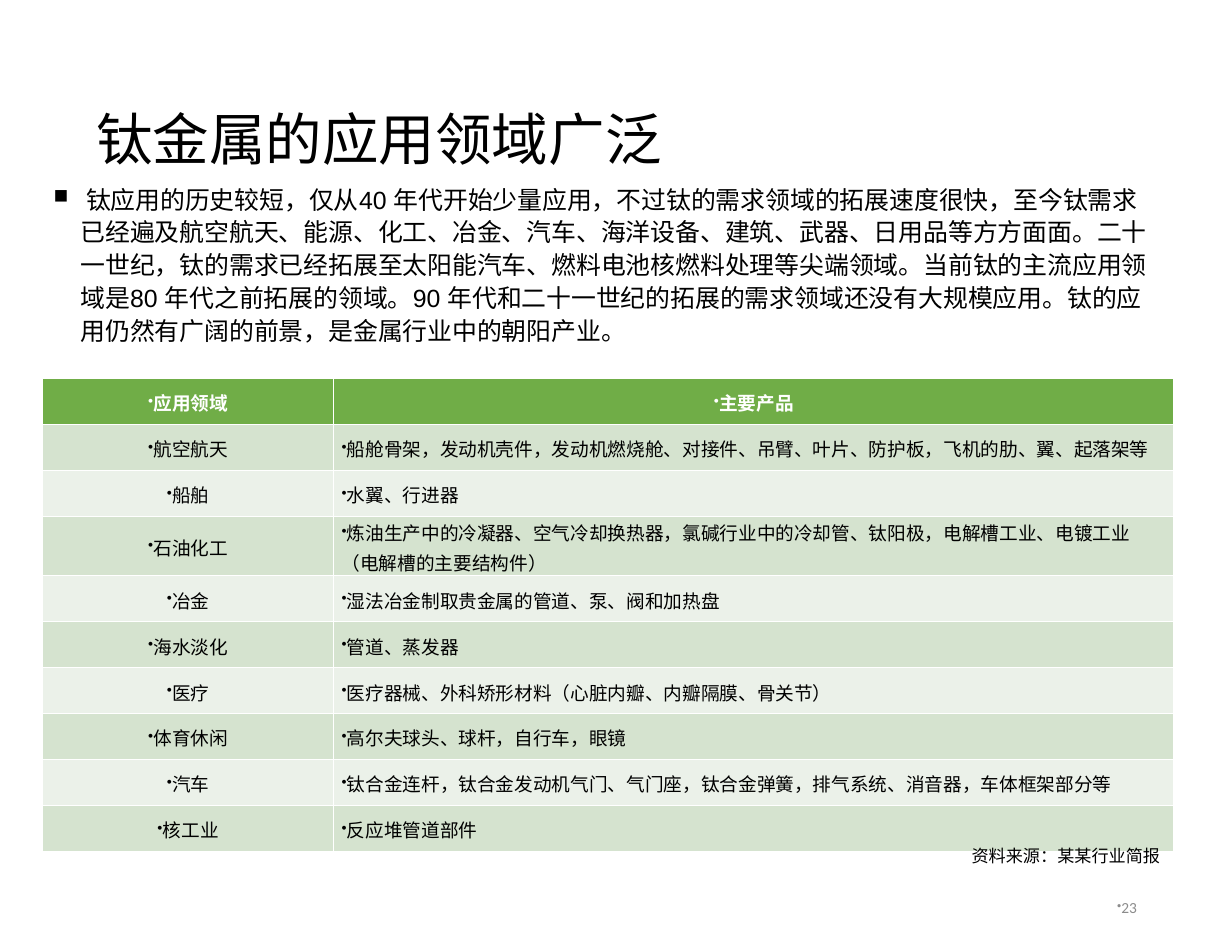
from lxml import etree
from pptx import Presentation
from pptx.dml.color import RGBColor
from pptx.enum.text import MSO_ANCHOR, MSO_AUTO_SIZE, PP_ALIGN
from pptx.oxml.ns import qn
from pptx.util import Inches, Pt

LEFT, CENTER, RIGHT = PP_ALIGN.LEFT, PP_ALIGN.CENTER, PP_ALIGN.RIGHT
MIDDLE = MSO_ANCHOR.MIDDLE
BLACK = RGBColor(0x00, 0x00, 0x00)
WHITE = RGBColor(0xFF, 0xFF, 0xFF)
GRAY = RGBColor(0x8C, 0x8C, 0x8C)
HEADER_GREEN = RGBColor(0x70, 0xAD, 0x47)
BAND_GREENS = (RGBColor(0xD5, 0xE3, 0xCF), RGBColor(0xEB, 0xF1, 0xE9))

TITLE = "钛金属的应用领域广泛"
OVERVIEW = (
    " 钛应用的历史较短，仅从40 年代开始少量应用，不过钛的需求领域的拓展速度很快，"
    "至今钛需求已经遍及航空航天、能源、化工、冶金、汽车、海洋设备、建筑、武器、日用品等方方面面。"
    "二十一世纪，钛的需求已经拓展至太阳能汽车、燃料电池核燃料处理等尖端领域。"
    "当前钛的主流应用领域是80 年代之前拓展的领域。90 年代和二十一世纪的拓展的需求领域还没有大规模应用。"
    "钛的应用仍然有广阔的前景，是金属行业中的朝阳产业。"
)
SOURCE = "资料来源：某某行业简报"
APPLICATIONS = [
    ("应用领域", "主要产品"),
    ("航空航天", "船舱骨架，发动机壳件，发动机燃烧舱、对接件、吊臂、叶片、防护板，飞机的肋、翼、起落架等"),
    ("船舶", "水翼、行进器"),
    ("石油化工", "炼油生产中的冷凝器、空气冷却换热器，氯碱行业中的冷却管、钛阳极，"
             "电解槽工业、电镀工业（电解槽的主要结构件）"),
    ("冶金", "湿法冶金制取贵金属的管道、泵、阀和加热盘"),
    ("海水淡化", "管道、蒸发器"),
    ("医疗", "医疗器械、外科矫形材料（心脏内瓣、内瓣隔膜、骨关节）"),
    ("体育休闲", "高尔夫球头、球杆，自行车，眼镜"),
    ("汽车", "钛合金连杆，钛合金发动机气门、气门座，钛合金弹簧，排气系统、消音器，车体框架部分等"),
    ("核工业", "反应堆管道部件"),
]
COLUMN_WIDTHS = (2.6, 7.5)
ROW_HEIGHT = 0.41


def format_paragraph(paragraph, size, color, font="Arial", align=LEFT, spacing=1.1):
    paragraph.alignment = align
    paragraph.line_spacing = spacing
    paragraph.font.name = font
    paragraph.font.size = Pt(size)
    paragraph.font.color.rgb = color


def add_bullet(paragraph, symbol, indent=0):
    """Put a bullet at 80% of the text size, hanging by indent inches."""
    properties = paragraph._p.get_or_add_pPr()
    properties.set("marL", str(Inches(indent)))
    properties.set("indent", str(-Inches(indent)))
    size = etree.Element(qn("a:buSzPct"), val="80000")
    bullet = etree.Element(qn("a:buChar"), char=symbol)
    defaults = properties.find(qn("a:defRPr"))
    defaults.addprevious(size)
    defaults.addprevious(bullet)


def add_title(slide):
    title = slide.shapes.title
    title.left, title.top = Inches(0.76), Inches(0.45)
    title.width, title.height = Inches(9.49), Inches(1.64)
    title.text_frame.text = TITLE
    title.text_frame.vertical_anchor = MIDDLE
    format_paragraph(title.text_frame.paragraphs[0], 36.3, BLACK, "Calibri", spacing=0.9)


def add_text(slide, left, top, width, height, text, wrap=True):
    """Add a text box and return its text frame."""
    frame = slide.shapes.add_textbox(
        Inches(left), Inches(top), Inches(width), Inches(height)).text_frame
    frame.word_wrap = wrap
    frame.text = text
    return frame


def fill_cell(cell, text, fill, color, align, bold):
    cell.fill.solid()
    cell.fill.fore_color.rgb = fill
    cell.vertical_anchor = MIDDLE
    cell.margin_left = cell.margin_right = Inches(0.07)
    cell.margin_top = cell.margin_bottom = 0
    cell.text = text
    paragraph = cell.text_frame.paragraphs[0]
    format_paragraph(paragraph, 12, color, align=align)
    paragraph.space_before = Pt(6)
    paragraph.font.bold = bold
    add_bullet(paragraph, "•")


def add_applications_table(slide):
    row_count = len(APPLICATIONS)
    table = slide.shapes.add_table(
        row_count, len(COLUMN_WIDTHS), Inches(0.38), Inches(3.38),
        Inches(sum(COLUMN_WIDTHS)), Inches(ROW_HEIGHT * row_count)).table
    for column, width in zip(table.columns, COLUMN_WIDTHS):
        column.width = Inches(width)
    for r, texts in enumerate(APPLICATIONS):
        header = r == 0
        fill = HEADER_GREEN if header else BAND_GREENS[(r - 1) % 2]
        for c, text in enumerate(texts):
            align = CENTER if header or c == 0 else LEFT
            fill_cell(table.cell(r, c), text, fill, WHITE if header else BLACK, align, header)


def add_page_number(slide):
    frame = add_text(slide, 7.77, 7.88, 2.48, 0.45, "23")
    frame.vertical_anchor = MIDDLE
    number = frame.paragraphs[0]
    format_paragraph(number, 9.9, GRAY, "Calibri", RIGHT, 1.0)
    add_bullet(number, "•")


def add_source(slide):
    frame = add_text(slide, 8.56, 7.48, 1.9, 0.29, SOURCE, wrap=False)
    frame.auto_size = MSO_AUTO_SIZE.SHAPE_TO_FIT_TEXT
    format_paragraph(frame.paragraphs[0], 11, BLACK, align=RIGHT)


def add_overview(slide):
    frame = add_text(slide, 0.38, 1.57, 9.99, 1.58, OVERVIEW)
    frame.auto_size = MSO_AUTO_SIZE.SHAPE_TO_FIT_TEXT
    overview = frame.paragraphs[0]
    format_paragraph(overview, 16, BLACK)
    add_bullet(overview, "■", indent=0.24)


def main():
    presentation = Presentation()
    presentation.slide_width, presentation.slide_height = Inches(11), Inches(8.5)
    slide = presentation.slides.add_slide(presentation.slide_layouts[5])
    add_title(slide)
    add_applications_table(slide)
    add_page_number(slide)
    add_source(slide)
    add_overview(slide)
    presentation.save("out.pptx")


if __name__ == "__main__":
    main()
